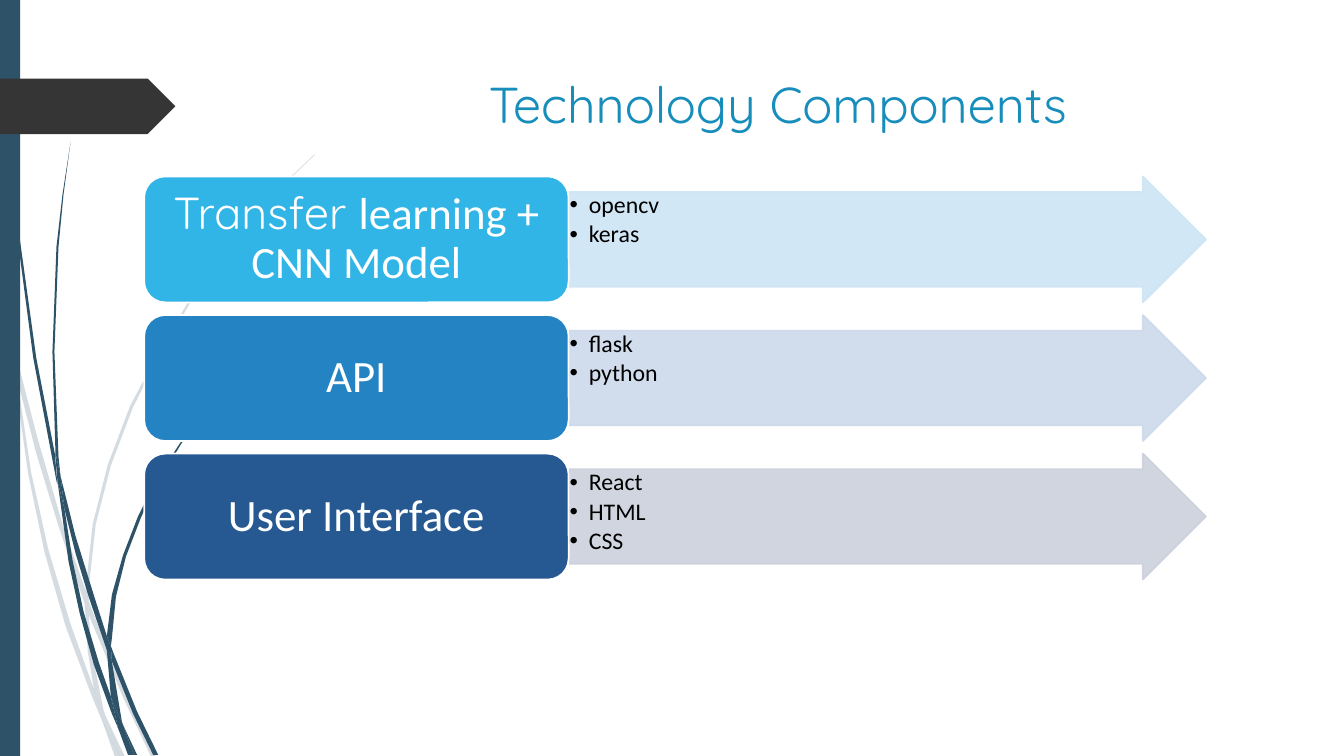
from dataclasses import dataclass
from typing import Any, NamedTuple

from lxml.etree import SubElement
from pptx import Presentation
from pptx.dml.color import RGBColor
from pptx.enum.shapes import MSO_SHAPE
from pptx.enum.text import MSO_ANCHOR, MSO_AUTO_SIZE, PP_ALIGN
from pptx.oxml.ns import qn
from pptx.shapes.autoshape import Shape
from pptx.slide import Slide
from pptx.util import Inches, Pt

CELL = Inches(1 / 8)  # the slide is 106.64 columns by 60 rows
WISP_UNIT = Inches(0.01)


@dataclass(frozen=True)
class Theme:
    stem: str = "2E5369"
    tag: str = "353535"
    title: str = "178DBB"
    light: str = "FFFFFF"
    dark: str = "000000"
    title_size: float = 36
    label_size: float = 32
    item_size: float = 17
    outline: float = 1.25
    display_font: str = "Quicksand"
    text_font: str = "Calibri"


THEME = Theme()


class Area(NamedTuple):
    """Left, top, width and height in grid columns and rows."""
    column: float
    row: float
    columns: float
    rows: float


class Span(NamedTuple):
    text: str
    font: str = THEME.text_font


class Component(NamedTuple):
    label: list[Span]
    items: list[str]
    box_colour: str
    arrow_colour: str


class Wisp(NamedTuple):
    """Outline corners in hundredths of an inch."""
    corners: list[tuple[int, int]]


COMPONENTS = [
    Component([Span("Transfer ", THEME.display_font), Span("learning + CNN Model")],
              ["opencv", "keras"], "31B4E6", "CEE5F5"),
    Component([Span("API")], ["flask", "python"], "2483C3", "CCD9EA"),
    Component([Span("User Interface")], ["React", "HTML", "CSS"], "265991", "CDD1DC"),
]

PALE_WISPS = [
    Wisp([(11, 350), (9, 322), (0, 282), (0, 299), (10, 344)]),
    Wisp([(58, 522), (84, 599), (85, 586), (62, 520), (37, 434), (14, 345), (17, 376), (36, 450)]),
    Wisp([(92, 607), (88, 596), (88, 610), (123, 694), (150, 751), (155, 751), (127, 692)]),
    Wisp([(119, 751), (124, 751), (105, 711)]),
    Wisp([(93, 683), (70, 619), (48, 545), (31, 469), (17, 376), (11, 350), (28, 470), (44, 547),
          (65, 621), (92, 693), (101, 714), (99, 707)]),
    Wisp([(84, 599), (87, 646), (93, 683), (96, 692), (105, 711), (103, 706), (91, 646),
          (88, 610), (88, 608)]),
    Wisp([(88, 584), (95, 520), (110, 462), (132, 404), (160, 349), (192, 295), (229, 245),
          (268, 198), (290, 175), (312, 154), (312, 153), (289, 175), (268, 197), (228, 244),
          (190, 294), (158, 348), (129, 403), (107, 461), (92, 520), (85, 584), (85, 586), (88, 596)]),
    Wisp([(101, 714), (114, 751), (119, 751)]),
    Wisp([(88, 608), (88, 596), (85, 586), (84, 599)]),
    Wisp([(96, 692), (93, 683), (99, 707), (101, 714), (119, 751), (105, 711)]),
]

DARK_WISPS = [
    Wisp([(7, 110), (17, 233), (33, 355), (56, 477), (57, 481), (55, 457), (55, 453), (36, 355),
          (19, 232), (8, 109), (5, 48), (4, 0), (3, 0), (4, 48)]),
    Wisp([(88, 592), (106, 645), (106, 631), (93, 590), (75, 532), (60, 472), (64, 505), (75, 549)]),
    Wisp([(113, 649), (110, 641), (111, 656), (132, 708), (152, 749), (157, 749), (136, 706)]),
    Wisp([(110, 691), (98, 657), (83, 607), (72, 556), (64, 505), (57, 477), (68, 557), (79, 608),
          (93, 659), (111, 708), (117, 722), (116, 717)]),
    Wisp([(60, 472), (58, 453), (54, 349), (58, 245), (63, 193), (70, 141), (62, 193), (56, 245),
          (52, 349), (55, 449)]),
    Wisp([(133, 749), (136, 749), (122, 719)]),
    Wisp([(57, 477), (64, 505), (60, 472), (55, 449), (55, 453)]),
    Wisp([(111, 633), (115, 592), (125, 552), (140, 513), (158, 476), (180, 440), (205, 406),
          (231, 374), (245, 359), (261, 344), (260, 344), (245, 358), (231, 373), (204, 405),
          (179, 439), (156, 474), (137, 512), (122, 551), (111, 590), (106, 631), (110, 641)]),
    Wisp([(117, 722), (127, 749), (131, 749)]),
    Wisp([(106, 645), (110, 691), (116, 706), (122, 719), (121, 716), (111, 656), (109, 651)]),
    Wisp([(106, 645), (109, 651), (111, 656), (110, 641), (106, 631)]),
    Wisp([(116, 706), (110, 691), (116, 717), (117, 722), (130, 749), (133, 749), (122, 719)]),
]


def apply(target: Any, formats: dict[str, Any]) -> None:
    for name, value in formats.items():
        setattr(target, name, value)


def paint(shape: Shape, fill: str, line: str | None = None, opacity: int = 100) -> None:
    shape.shadow.inherit = False
    shape.fill.solid()
    shape.fill.fore_color.rgb = RGBColor.from_string(fill)
    if line:
        shape.line.color.rgb = RGBColor.from_string(line)
        shape.line.width = Pt(THEME.outline)
    else:
        shape.line.fill.background()
    if opacity < 100:
        for colour in shape._element.spPr.iter(qn("a:srgbClr")):
            SubElement(colour, qn("a:alpha"), val=str(opacity * 1000))


def add_preset(page: Slide, kind: MSO_SHAPE, area: Area) -> Shape:
    return page.shapes.add_shape(kind, *(round(length * CELL) for length in area))


def add_wisp(page: Slide, wisp: Wisp, opacity: int) -> None:
    start, *others = wisp.corners
    builder = page.shapes.build_freeform(*start, scale=WISP_UNIT)
    builder.add_line_segments(others, close=True)
    paint(builder.convert_to_shape(), THEME.stem, opacity=opacity)


def add_span(para: Any, span: Span, size: float, colour: str) -> None:
    run = para.add_run()
    run.text = span.text
    apply(run.font, {"name": span.font, "size": Pt(size)})
    run.font.color.rgb = RGBColor.from_string(colour)


def format_frame(shape: Shape, anchor: MSO_ANCHOR, side: float, edge: float) -> None:
    apply(shape.text_frame, {
        "word_wrap": True, "auto_size": MSO_AUTO_SIZE.NONE, "vertical_anchor": anchor,
        "margin_left": Inches(side), "margin_right": Inches(side),
        "margin_top": Inches(edge), "margin_bottom": Inches(edge)})


def add_title(page: Slide, text: str, area: Area) -> None:
    title = page.shapes.title
    apply(title, dict(zip(("left", "top", "width", "height"),
                          (round(length * CELL) for length in area))))
    format_frame(title, MSO_ANCHOR.TOP, 0.1, 0.05)
    para = title.text_frame.paragraphs[0]
    para.alignment = PP_ALIGN.CENTER
    add_span(para, Span(text, THEME.display_font), THEME.title_size, THEME.title)


def add_arrow(page: Slide, component: Component, area: Area) -> None:
    arrow = add_preset(page, MSO_SHAPE.RIGHT_ARROW, area)
    arrow.adjustments[0] = 0.75
    paint(arrow, component.arrow_colour, component.arrow_colour, opacity=90)
    format_frame(arrow, MSO_ANCHOR.TOP, 0.01, 0.01)
    frame = arrow.text_frame
    for index, item in enumerate(component.items):
        para = frame.add_paragraph() if index else frame.paragraphs[0]
        apply(para, {"alignment": PP_ALIGN.LEFT, "line_spacing": 0.9, "space_after": Pt(2.55)})
        properties = para._p.get_or_add_pPr()
        indent = Inches(0.19)
        properties.set("marL", str(indent))
        properties.set("indent", str(-indent))
        SubElement(properties, qn("a:buFont"), typeface="Arial")
        SubElement(properties, qn("a:buChar"), char="•")
        add_span(para, Span(item), THEME.item_size, THEME.dark)


def add_label(page: Slide, component: Component, area: Area) -> None:
    box = add_preset(page, MSO_SHAPE.ROUNDED_RECTANGLE, area)
    paint(box, component.box_colour, THEME.light)
    format_frame(box, MSO_ANCHOR.MIDDLE, 0.13, 0.07)
    para = box.text_frame.paragraphs[0]
    apply(para, {"alignment": PP_ALIGN.CENTER, "line_spacing": 0.9})
    for span in component.label:
        add_span(para, span, THEME.label_size, THEME.light)


def main() -> None:
    deck = Presentation()
    apply(deck, {"slide_width": Inches(13.33), "slide_height": Inches(7.5)})
    page = deck.slides.add_slide(deck.slide_layouts[5])
    for wisps, opacity in ((PALE_WISPS, 20), (DARK_WISPS, 100)):
        for wisp in wisps:
            add_wisp(page, wisp, opacity)
    paint(add_preset(page, MSO_SHAPE.RECTANGLE, Area(0, 0, 1.6, 60)), THEME.stem)
    paint(add_preset(page, MSO_SHAPE.PENTAGON, Area(0, 6.24, 13.92, 4.4)), THEME.tag)
    add_title(page, "Technology Components", Area(22.72, 5.44, 78, 11.2))
    for index, component in enumerate(COMPONENTS):
        row = 14 + 11 * index
        add_arrow(page, component, Area(45.12, row, 50.56, 10))
        add_label(page, component, Area(11.44, row, 33.68, 10))
    deck.save("out.pptx")


if __name__ == "__main__":
    main()
